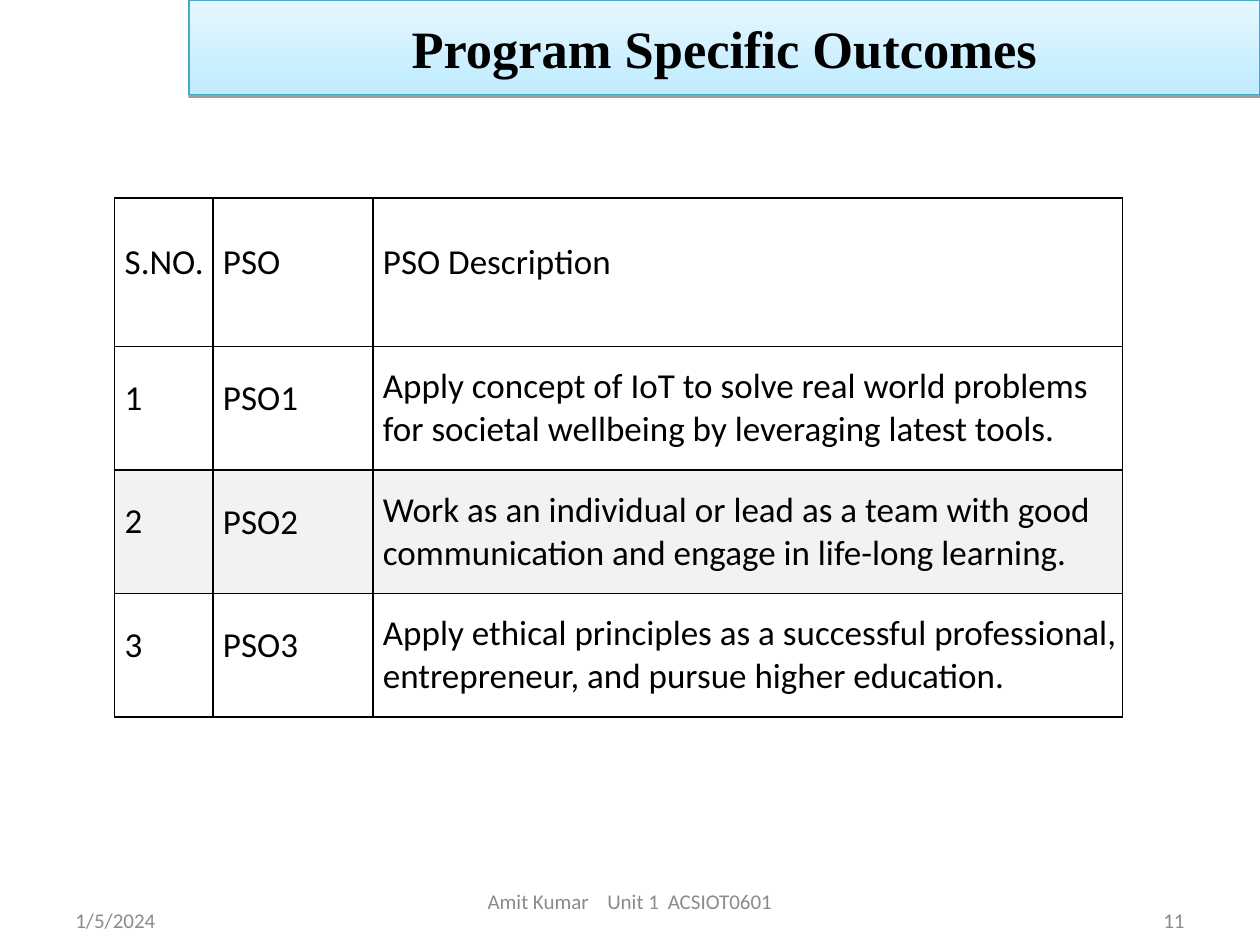
from lxml.etree import SubElement as Sub
from pptx import Presentation as Deck
from pptx.dml.color import RGBColor as Rgb
from pptx.enum.text import MSO_ANCHOR as Anchor, MSO_AUTO_SIZE as Fit, PP_ALIGN as Align
from pptx.oxml.ns import qn
from pptx.util import Inches, Pt


def hue(code):
    return Rgb.from_string(code)


def write(frame, text, size=20, font="Calibri", color="000000", bold=False,
          align=Align.LEFT, lead=None, tabs=()):
    para = frame.paragraphs[0]
    para.alignment = align
    if lead:
        para.line_spacing = lead
    if tabs:
        stops = Sub(para._p.get_or_add_pPr(), qn("a:tabLst"))
        for stop in tabs:
            Sub(stops, qn("a:tab"), pos=str(Inches(stop)), algn="l")
    run = para.add_run()
    run.text = text
    run.font.size = Pt(size)
    run.font.name = font
    run.font.bold = bold
    run.font.color.rgb = hue(color)


class Page:
    unit = 0.1
    ink = "000000"
    gray = "8B8B8B"

    def __init__(self, deck, cols=100, rows=75):
        deck.slide_width, deck.slide_height = self.span(cols), self.span(rows)
        self.slide = deck.slides.add_slide(deck.slide_layouts[5])

    def span(self, count):
        return Inches(count * self.unit)

    def title(self, text, *box):
        head = self.slide.shapes.title
        head.left, head.top, head.width, head.height = map(self.span, box)
        head.fill.gradient()
        head.fill.gradient_angle = 90
        for stop, code in zip(head.fill.gradient_stops, ("BFECFF", "E6F7FF")):
            stop.color.rgb = hue(code)
        head.line.color.rgb = hue("46AAC4")
        head.line.width = Pt(0.75)
        glow = Sub(head._element.spPr, qn("a:effectLst"))
        shade = Sub(glow, qn("a:outerShdw"), blurRad="0", dist=str(Pt(1.6)),
                    dir="5400000", rotWithShape="0")
        tint = Sub(shade, qn("a:srgbClr"), val=self.ink)
        Sub(tint, qn("a:alpha"), val="38000")
        frame = head.text_frame
        frame.auto_size = Fit.NONE
        frame.vertical_anchor = Anchor.MIDDLE
        write(frame, text, size=30, font="Times New Roman", bold=True, align=Align.CENTER)

    def note(self, text, *box, inset=1, **style):
        frame = self.slide.shapes.add_textbox(*map(self.span, box)).text_frame
        frame.word_wrap = True
        frame.vertical_anchor = Anchor.MIDDLE
        frame.margin_left = self.span(inset)
        write(frame, text, size=12, color=self.gray, **style)

    def border(self, cell):
        props = cell._tc.get_or_add_tcPr()
        for place, side in enumerate(("lnL", "lnR", "lnT", "lnB")):
            edge = Sub(props, qn("a:" + side), w=str(Pt(1)))
            props.insert(place, edge)
            Sub(Sub(edge, qn("a:solidFill")), qn("a:srgbClr"), val=self.ink)

    def table(self, data, left, top, cols, rows, leads, fills):
        grid = self.slide.shapes.add_table(
            len(rows), len(cols), self.span(left), self.span(top),
            self.span(sum(cols)), self.span(sum(rows))).table
        grid.first_row = grid.horz_banding = False
        for col, width in zip(grid.columns, cols):
            col.width = self.span(width)
        for row, high, texts, lead, fill in zip(grid.rows, rows, data, leads, fills):
            row.height = self.span(high)
            for cell, text, gap in zip(row.cells, texts, lead):
                cell.margin_left, cell.margin_right = self.span(0.8), 0
                cell.margin_top = cell.margin_bottom = self.span(1.1)
                cell.vertical_anchor = Anchor.MIDDLE
                cell.fill.solid()
                cell.fill.fore_color.rgb = hue(fill)
                self.border(cell)
                write(cell.text_frame, text, lead=gap)


def main():
    deck = Deck()
    page = Page(deck)
    page.title("Program Specific Outcomes", 15, 0, 85, 7.5)
    page.note("1/5/2024", 5, 71, 23.3, 4)
    page.note("11", 71.7, 71, 23.3, 4, align=Align.RIGHT)
    page.note("Amit Kumar\tUnit 1\tACSIOT0601", 34.2, 69.5, 31.7, 4,
              inset=4.5, tabs=(0.95, 1.43))
    data = [
        ("S.NO.", "PSO", "PSO Description"),
        ("1", "PSO1", "Apply concept of IoT to solve real world problems "
         "for societal wellbeing by leveraging latest tools."),
        ("2", "PSO2", "Work as an individual or lead as a team with good "
         "communication and engage in life-long learning."),
        ("3", "PSO3", "Apply ethical principles as a successful professional, "
         "entrepreneur, and pursue higher education."),
    ]
    tight, snug = Pt(13.4), Pt(13.8)
    leads = [(tight, snug, last) for last in (snug, None, 1.02, None)]
    page.table(data, 9.1, 15.7, (7.8, 12.7, 59.5), (11.8, 9.8, 9.8, 9.8),
               leads, ("FFFFFF", "FFFFFF", "F2F2F2", "FFFFFF"))
    deck.save("out.pptx")


if __name__ == "__main__":
    main()
